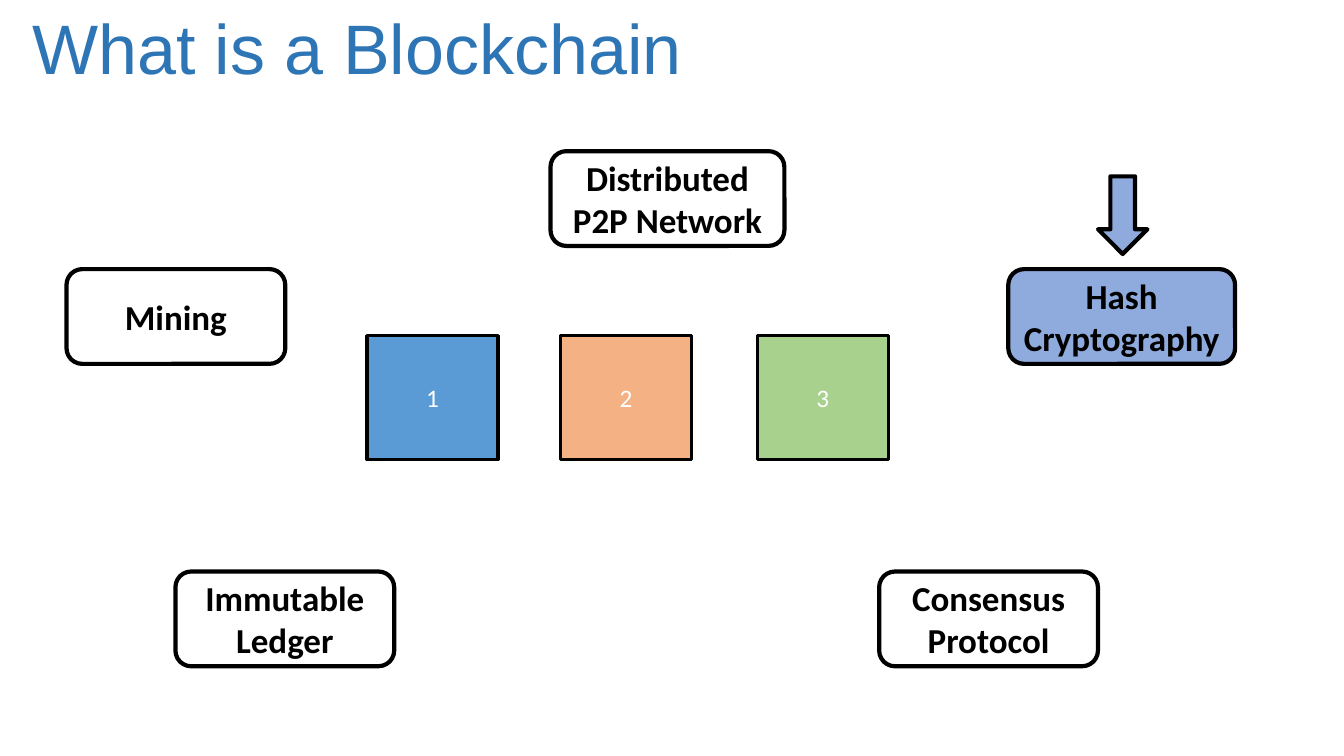
from pptx import Presentation
from pptx.dml.color import RGBColor
from pptx.enum.shapes import MSO_SHAPE as Shape
from pptx.enum.text import MSO_ANCHOR as Anchor, PP_ALIGN as Align
from pptx.util import Pt

PX = 9144
BLACK = RGBColor(0x00, 0x00, 0x00)
WHITE = RGBColor(0xFF, 0xFF, 0xFF)
NAVY = RGBColor(0x2E, 0x75, 0xB6)
BLUE = RGBColor(0x5B, 0x9B, 0xD5)
ORANGE = RGBColor(0xF4, 0xB1, 0x83)
GREEN = RGBColor(0xA9, 0xD1, 0x8E)
PALE = RGBColor(0x8F, 0xAA, 0xDC)


def scale(*box):
    """Turn px lengths into EMU."""
    return [side * PX for side in box]


def style(text, font, size, color, bold=False):
    """Set the font of the first paragraph."""
    face = text.paragraphs[0].font
    face.name, face.size, face.bold = font, Pt(size), bold
    face.color.rgb = color


def draw(slide, kind, box, fill, line):
    """Add a filled shape with a black outline."""
    shape = slide.shapes.add_shape(kind, *scale(*box))
    shape.shadow.inherit = False
    shape.fill.solid()
    shape.fill.fore_color.rgb = fill
    shape.line.color.rgb = BLACK
    shape.line.width = Pt(line)
    return shape


def label(shape, words, size, color, bold=False):
    """Centre a label in a shape."""
    text = shape.text_frame
    text.word_wrap = True
    text.vertical_anchor = Anchor.MIDDLE
    text.text = words
    text.paragraphs[0].alignment = Align.CENTER
    style(text, "Calibri", size, color, bold)


def add_title(slide, box, words):
    """Write the slide title."""
    text = slide.shapes.add_textbox(*scale(*box)).text_frame
    text.word_wrap = True
    text.text = words
    style(text, "Arial", 50, NAVY)


def add_chain(slide, box):
    """Draw the row of numbered blocks."""
    left, top, width, height = box
    blocks = [(0, BLUE), (192, ORANGE), (387, GREEN)]
    for count, (shift, fill) in enumerate(blocks, 1):
        place = (left + shift, top, width, height)
        label(draw(slide, Shape.RECTANGLE, place, fill, 2.25), str(count), 18, WHITE)


def add_topic(slide, box, words, active=False):
    """Draw a topic, with an arrow above it when active."""
    fill = PALE if active else WHITE
    label(draw(slide, Shape.ROUNDED_RECTANGLE, box, fill, 3), words, 25, BLACK, True)
    if active:
        left, top = box[:2]
        draw(slide, Shape.DOWN_ARROW, (left + 89, top - 92, 49, 77), PALE, 3)


def main():
    """Build and save the slide."""
    deck = Presentation()
    deck.slide_width, deck.slide_height = scale(1333, 750)
    slide = deck.slides.add_slide(deck.slide_layouts[6])
    add_title(slide, (22, 0, 1136, 94), "What is a Blockchain")
    add_chain(slide, (364, 333, 130, 123))
    topics = [
        (174, 567, 217, "Immutable Ledger"),
        (546, 150, 232, "Distributed P2P Network"),
        (872, 567, 217, "Consensus Protocol"),
        (66, 267, 217, "Mining"),
    ]
    add_topic(slide, (1000, 267, 225, 94), "Hash Cryptography", active=True)
    for left, top, width, words in topics:
        add_topic(slide, (left, top, width, 94), words)
    deck.save("out.pptx")


if __name__ == "__main__":
    main()
